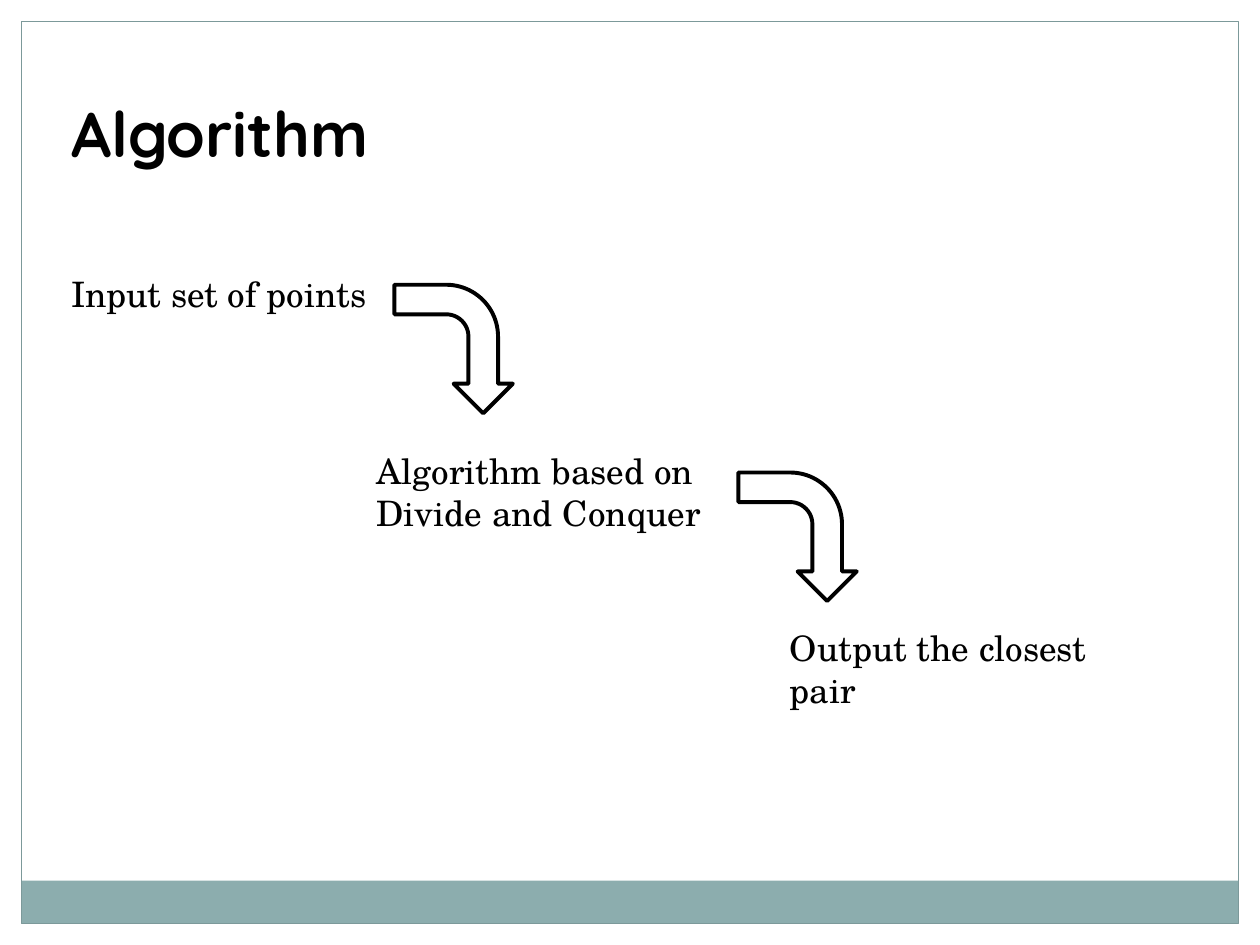
"""Build the slide that shows the closest-pair algorithm as three descending steps."""
from pptx import Presentation
from pptx.dml.color import RGBColor
from pptx.enum.shapes import MSO_SHAPE
from pptx.util import Inches, Pt

WIDTH, HEIGHT, MARGIN, BAR_HEIGHT = 10, 7.5, 0.17, 0.34
TITLE = ("Algorithm", 0.47, 0.7, 2.89, 0.71)
STEPS = [
    ("Input set of points", 0.47, 2.11, 2.66, 0.44),
    ("Algorithm based on Divide and Conquer", 2.89, 3.52, 3.44, 0.77),
    ("Output the closest pair", 6.17, 4.92, 3.13, 0.77),
]
ARROW_CORNERS = [(3.09, 2.3), (5.82, 3.79)]
ARROW_SIZE = (1.02, 0.94)


def color(value):
    return RGBColor.from_string(value)


def add_shape(kind, left, top, width, height, fill=None, line=None, weight=0.75):
    shape = slide.shapes.add_shape(kind, *map(Inches, (left, top, width, height)))
    shape.shadow.inherit = False
    if fill:
        shape.fill.solid()
        shape.fill.fore_color.rgb = color(fill)
    else:
        shape.fill.background()
    if line:
        shape.line.color.rgb = color(line)
        shape.line.width = Pt(weight)
    else:
        shape.line.fill.background()
    return shape


def add_text(text, left, top, width, height, font_name, size, bold=False):
    box = slide.shapes.add_textbox(*map(Inches, (left, top, width, height)))
    box.text_frame.word_wrap = True
    paragraph = box.text_frame.paragraphs[0]
    paragraph.text = text
    font = paragraph.font
    font.name, font.size, font.bold = font_name, Pt(size), bold
    font.color.rgb = color("000000")


presentation = Presentation()
presentation.slide_width, presentation.slide_height = Inches(WIDTH), Inches(HEIGHT)
slide = presentation.slides.add_slide(presentation.slide_layouts[6])

frame_width, frame_height = WIDTH - 2 * MARGIN, HEIGHT - 2 * MARGIN
bar_top = HEIGHT - MARGIN - BAR_HEIGHT
add_shape(MSO_SHAPE.RECTANGLE, MARGIN, bar_top, frame_width, BAR_HEIGHT, fill="8CADAE")
add_shape(MSO_SHAPE.RECTANGLE, MARGIN, MARGIN, frame_width, frame_height, line="7C999A")

add_text(*TITLE, "Quicksand", 36, bold=True)
for step in STEPS:
    add_text(*step, "TeX Gyre Schola", 20)
for corner in ARROW_CORNERS:
    arrow = add_shape(MSO_SHAPE.BENT_ARROW, *corner, *ARROW_SIZE, "FFFFFF", "000000", 2.25)
    arrow.rotation = 90

presentation.save("out.pptx")
